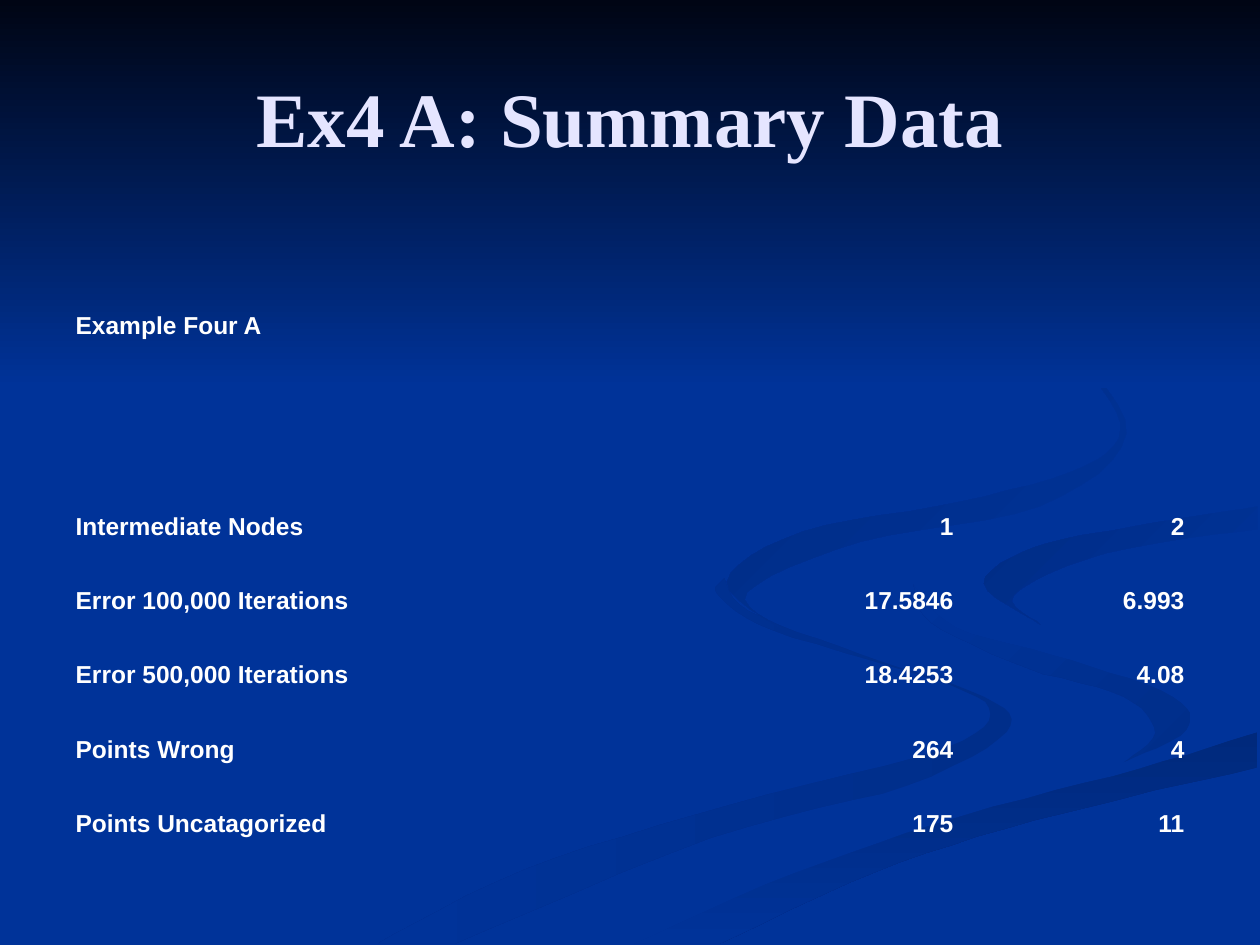
from pptx import Presentation
from pptx.dml.color import RGBColor
from pptx.enum.text import MSO_ANCHOR, PP_ALIGN
from pptx.util import Pt

COLORS = {
    "background": "003399",
    "night": "000514",
    "ribbon": "002E8A",
    "ribbon_dark": "00297C",
    "ribbon_right": "002C85",
    "ribbon_top": "002B81",
    "title": "E5E5FF",
    "text": "FFFFFF",
}

# Edges that neighbouring ribbons share, in hundredths of an inch
bend = [(725, 464), (759, 498), (851, 524), (931, 553), (942, 579), (892, 605)]
sweep = [(503, 749), (630, 693), (765, 647), (904, 610), (998, 581)]
curl = [(826, 496), (781, 463), (822, 434), (899, 418), (998, 402)]

# Start colour, end colour, clockwise gradient angle, edges
BACKDROP = [
    ("ribbon", "background", 180, [
        [(300, 749), (417, 690), (579, 639), (749, 594), (785, 562),
         (728, 535), (613, 500), (570, 472), (575, 459)],
        [(575, 459), (594, 485), (682, 519), (781, 553), (799, 581),
         (721, 623), (564, 665), (361, 749)]]),
    ("ribbon", "background", 225, [
        bend, [(892, 605), (917, 582), (892, 553), (815, 530), (739, 494), (725, 464)]]),
    ("ribbon_dark", "background", 90, [
        sweep, [(998, 609), (821, 651), (695, 692), (571, 749)]]),
    ("background", "background", 0, [
        bend + [(704, 655), (573, 703), (477, 749)], sweep, [(998, 538)], curl,
        [(998, 387), (874, 408), (755, 432), (725, 464)]]),
    ("background", "ribbon_right", 225, [
        curl, [(998, 420), (878, 439), (805, 472), (826, 496)]]),
    ("background", "ribbon_top", 225, [
        [(762, 233), (843, 275), (894, 344), (825, 402), (683, 430), (593, 470), (622, 500)],
        [(622, 500), (577, 462), (637, 422), (763, 398), (861, 370),
         (889, 335), (846, 279), (762, 233)]]),
    ("night", "background", 90, [[(0, 0)], [(0, 308)], [(1000, 308)], [(1000, 0)]]),
]

RESULTS = [
    ("Example Four A", "", ""),
    ("", "", ""),
    ("Intermediate Nodes", "1", "2"),
    ("Error 100,000 Iterations", "17.5846", "6.993"),
    ("Error 500,000 Iterations", "18.4253", "4.08"),
    ("Points Wrong", "264", "4"),
    ("Points Uncatagorized", "175", "11"),
]


def color(name):
    return RGBColor.from_string(COLORS[name])


def smooth_edge(knots, steps=6):
    """Return points on a Catmull-Rom curve through the knots."""
    padded = [knots[0], *knots, knots[-1]]
    curve = [knots[0]]
    for before, start, end, after in zip(padded, padded[1:], padded[2:], padded[3:]):
        for step in range(1, steps + 1):
            t = step / steps
            curve.append(tuple(
                b + ((c - a) * t + (2 * a - 5 * b + 4 * c - d) * t**2
                     + (3 * b - a - 3 * c + d) * t**3) / 2
                for a, b, c, d in zip(before, start, end, after)))
    return curve


presentation = Presentation()
presentation.slide_width, presentation.slide_height = Pt(720), Pt(540)
slide = presentation.slides.add_slide(presentation.slide_layouts[5])
slide.background.fill.solid()
slide.background.fill.fore_color.rgb = color("background")

for start, end, angle, edges in BACKDROP:
    outline = [point for edge in edges for point in smooth_edge(edge)]
    builder = slide.shapes.build_freeform(*outline[0], scale=Pt(0.72))
    builder.add_line_segments(outline[1:], close=True)
    band = builder.convert_to_shape()
    band.shadow.inherit = False
    band.line.fill.background()
    if start == end:
        band.fill.solid()
        band.fill.fore_color.rgb = color(start)
    else:
        band.fill.gradient()
        band.fill.gradient_angle = 360 - angle
        for stop, name in zip(band.fill.gradient_stops, (start, end)):
            stop.color.rgb = color(name)

# The title lies above the backdrop
title = slide.shapes.title
title._element.getparent().append(title._element)
title.left, title.top, title.width, title.height = Pt(36), Pt(21.6), Pt(648), Pt(90)
title.text_frame.text = "Ex4 A: Summary Data"
title.text_frame.vertical_anchor = MSO_ANCHOR.MIDDLE
heading = title.text_frame.paragraphs[0]
heading.alignment = PP_ALIGN.CENTER
heading.font.name, heading.font.size, heading.font.bold = "Times New Roman", Pt(44), True
heading.font.color.rgb = color("title")

table = slide.shapes.add_table(len(RESULTS), 3, Pt(36), Pt(126), Pt(648), Pt(356.4)).table
table.first_row = table.horz_banding = False
# "No Style, No Grid"
table._tbl.tblPr[0].text = "{2D5ABB26-0587-4C30-8999-92F81FD0307C}"
for column, width in zip(table.columns, (375, 141, 132)):
    column.width = Pt(width)
for index, row in enumerate(table.rows):
    row.height = Pt(72 if index < 2 else 42.48)
    for position, (cell, value) in enumerate(zip(row.cells, RESULTS[index])):
        cell.fill.background()
        cell.vertical_anchor = MSO_ANCHOR.BOTTOM
        cell.text = value
        entry = cell.text_frame.paragraphs[0]
        entry.alignment = PP_ALIGN.RIGHT if position else PP_ALIGN.LEFT
        entry.font.name, entry.font.size, entry.font.bold = "Arial", Pt(14), True
        entry.font.color.rgb = color("text")

presentation.save("out.pptx")
